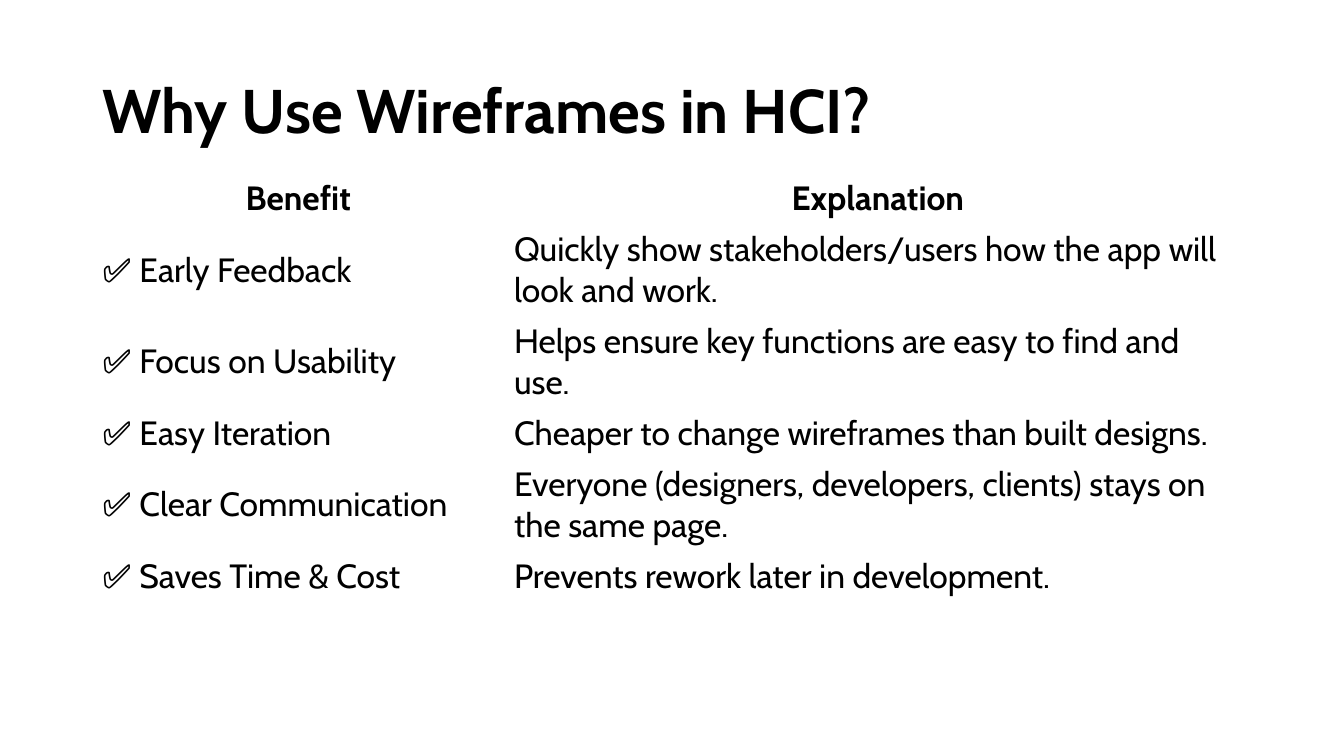
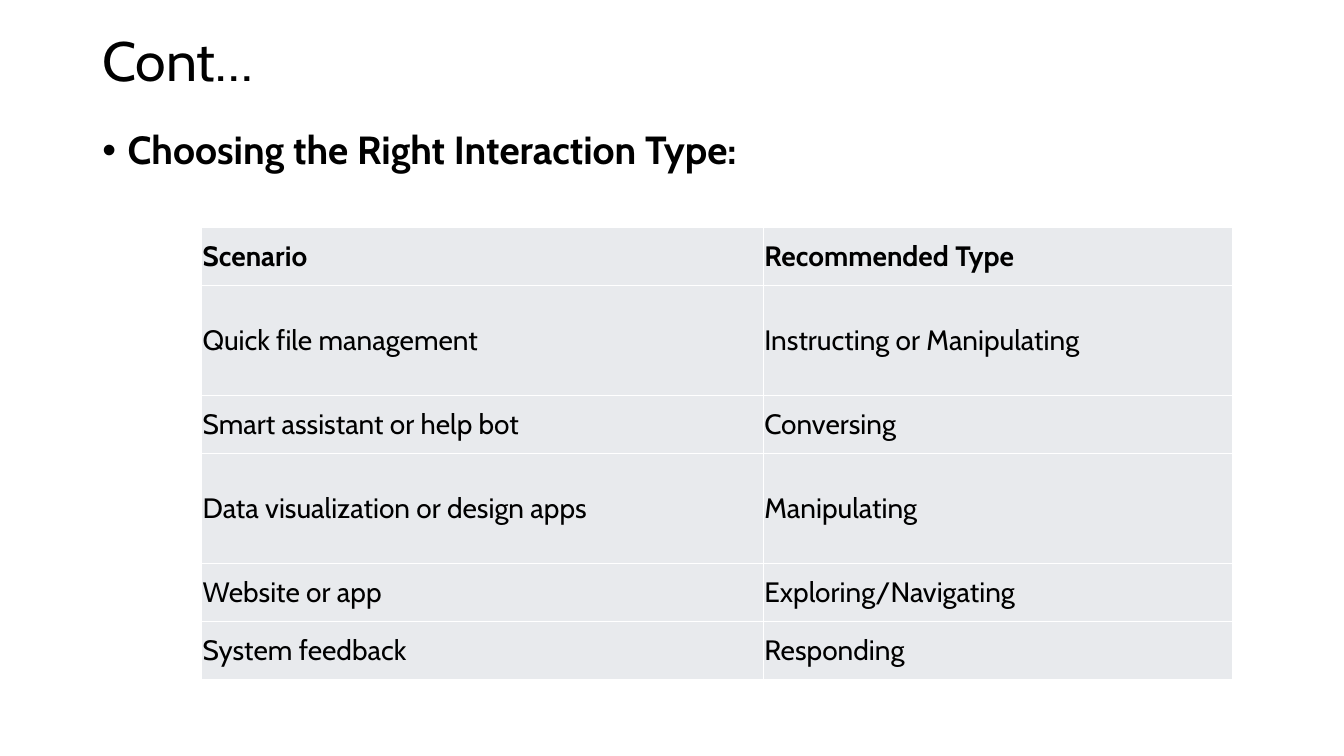
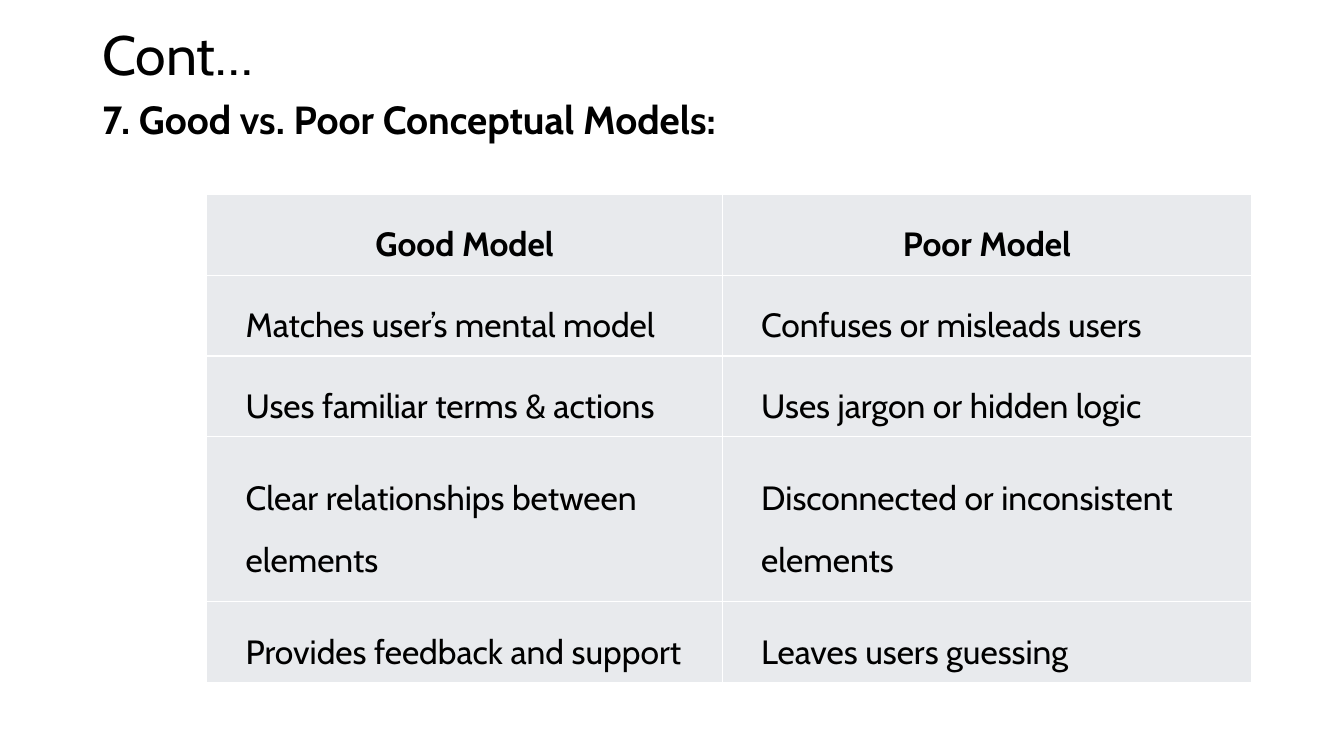
from lxml.etree import SubElement
from pptx import Presentation
from pptx.dml.color import RGBColor
from pptx.enum.text import MSO_ANCHOR as Anchor, MSO_AUTO_SIZE as AutoSize, PP_ALIGN as Align
from pptx.oxml.ns import qn
from pptx.util import Pt

# Shared style
PX = 9525
FONT = "Cabin"
INK, PANEL, RULE = "000000", "E8EAED", "FFFFFF"
LEFT, TITLE_TOP, WIDTH = 88, 38, 1104
PLAIN_TABLE = "{2D5ABB26-0587-4C30-8999-92F81FD0307C}"
TITLE_ONLY, TITLE_AND_BODY = 5, 1

# Bullets: font, character, indent
DOT = ("Arial", "•", 24)
CLOCK = ("Wingdings", "·", 36)  # this character is a clock face in Wingdings

# Content
SLIDES = [
    {
        "title": ("Why Use Wireframes in HCI?", 140, {"size": 44, "bold": True}),
        "table": {
            "at": (88, 165), "columns": (392, 712), "rows": (48, 86, 86, 48, 86, 48),
            "size": 24, "header_align": Align.CENTER,
            "cells": [
                ("Benefit", "Explanation"),
                ("✅ Early Feedback",
                 "Quickly show stakeholders/users how the app will look and work."),
                ("✅ Focus on Usability",
                 "Helps ensure key functions are easy to find and use."),
                ("✅ Easy Iteration", "Cheaper to change wireframes than built designs."),
                ("✅ Clear Communication",
                 "Everyone (designers, developers, clients) stays on the same page."),
                ("✅ Saves Time & Cost", "Prevents rework later in development."),
            ],
        },
    },
    {
        "title": ("Cont…", 45, {"size": 39.6}),
        "body": ("Choosing the Right Interaction Type:", 120, 529, DOT),
        "table": {
            "at": (192, 217), "columns": (535, 447), "rows": (55, 105, 55, 105, 55, 55),
            "size": 20, "panel": True,
            "cells": [
                ("Scenario", "Recommended Type"),
                ("Quick file management", "Instructing or Manipulating"),
                ("Smart assistant or help bot", "Conversing"),
                ("Data visualization or design apps", "Manipulating"),
                ("Website or app", "Exploring/Navigating"),
                ("System feedback", "Responding"),
            ],
        },
    },
    {
        "title": ("Cont…", 34, {"size": 39.6}),
        "body": ("7. Good vs. Poor Conceptual Models:", 91, 590, None),
        "table": {
            "at": (197, 185), "columns": (491, 504), "rows": (77, 77, 77, 157, 77),
            "size": 24, "panel": True, "header_align": Align.CENTER,
            "spacing": 1.5, "bullet": CLOCK,
            "cells": [
                ("Good Model", "Poor Model"),
                ("Matches user’s mental model", "Confuses or misleads users"),
                ("Uses familiar terms & actions", "Uses jargon or hidden logic"),
                ("Clear relationships between elements",
                 "Disconnected or inconsistent elements"),
                ("Provides feedback and support", "Leaves users guessing"),
            ],
        },
    },
]


def color(value):
    return RGBColor.from_string(value)


def set_bullet(paragraph, bullet):
    """Hang the paragraph on a bullet, or clear it."""
    properties = paragraph._p.get_or_add_pPr()
    font, character, indent = bullet or (None, None, 0)
    properties.set("marL", str(indent * PX))
    properties.set("indent", str(-indent * PX))
    if bullet:
        typeface = SubElement(properties, qn("a:buFont"), typeface=font)
        if font == "Wingdings":
            typeface.set("pitchFamily", "2")
            typeface.set("charset", "2")
        SubElement(properties, qn("a:buChar")).set("char", character)
    else:
        SubElement(properties, qn("a:buNone"))


def write(frame, text, size, bold=False, align=Align.LEFT, spacing=None, bullet=None):
    paragraph = frame.paragraphs[0]
    set_bullet(paragraph, bullet)
    layout = {"alignment": align, "line_spacing": spacing, "space_before": Pt(0)}
    for name, value in layout.items():
        setattr(paragraph, name, value)
    run = paragraph.add_run()
    run.text = text
    for name, value in {"name": FONT, "size": Pt(size), "bold": bold}.items():
        setattr(run.font, name, value)
    run.font.color.rgb = color(INK)


def fill_placeholder(shape, top, height, anchor, text, **style):
    box = {"left": LEFT, "top": top, "width": WIDTH, "height": height}
    for name, value in box.items():
        setattr(shape, name, value * PX)
    frame = shape.text_frame
    frame.auto_size = AutoSize.NONE
    frame.vertical_anchor = anchor
    write(frame, text, spacing=0.9, **style)


def style_panel(cell):
    """Grey cell with thin white rules and hardly any margin."""
    for side in ("left", "right", "top", "bottom"):
        setattr(cell, f"margin_{side}", PX)
    properties = cell._tc.get_or_add_tcPr()
    for edge in ("lnL", "lnR", "lnT", "lnB"):
        line = SubElement(properties, qn(f"a:{edge}"), w=str(Pt(1)))
        solid = SubElement(line, qn("a:solidFill"))
        SubElement(solid, qn("a:srgbClr"), val=RULE)
    cell.fill.solid()
    cell.fill.fore_color.rgb = color(PANEL)


def add_table(slide, data):
    columns, rows = data["columns"], data["rows"]
    left, top = data["at"]
    frame = slide.shapes.add_table(len(rows), len(columns), left * PX, top * PX,
                                   sum(columns) * PX, sum(rows) * PX)
    table = frame.table
    table.first_row = table.horz_banding = False
    table._tbl.tblPr.find(qn("a:tableStyleId")).text = PLAIN_TABLE
    for column, width in zip(table.columns, columns):
        column.width = width * PX
    for row, height in zip(table.rows, rows):
        row.height = height * PX
    for row_index, texts in enumerate(data["cells"]):
        header = row_index == 0
        align = data.get("header_align", Align.LEFT) if header else Align.LEFT
        bullet = None if header else data.get("bullet")
        for column_index, text in enumerate(texts):
            cell = table.cell(row_index, column_index)
            cell.vertical_anchor = Anchor.MIDDLE
            if data.get("panel"):
                style_panel(cell)
            else:
                cell.fill.background()
            write(cell.text_frame, text, data["size"], header, align,
                  data.get("spacing"), bullet)


def main():
    presentation = Presentation()
    presentation.slide_width, presentation.slide_height = 1280 * PX, 720 * PX
    for content in SLIDES:
        layout = TITLE_AND_BODY if "body" in content else TITLE_ONLY
        slide = presentation.slides.add_slide(presentation.slide_layouts[layout])
        text, height, style = content["title"]
        fill_placeholder(slide.shapes.title, TITLE_TOP, height, Anchor.MIDDLE, text, **style)
        if "body" in content:
            text, top, height, bullet = content["body"]
            fill_placeholder(slide.placeholders[1], top, height, Anchor.TOP, text,
                             size=28, bold=True, bullet=bullet)
        add_table(slide, content["table"])
    presentation.save("out.pptx")


if __name__ == "__main__":
    main()
